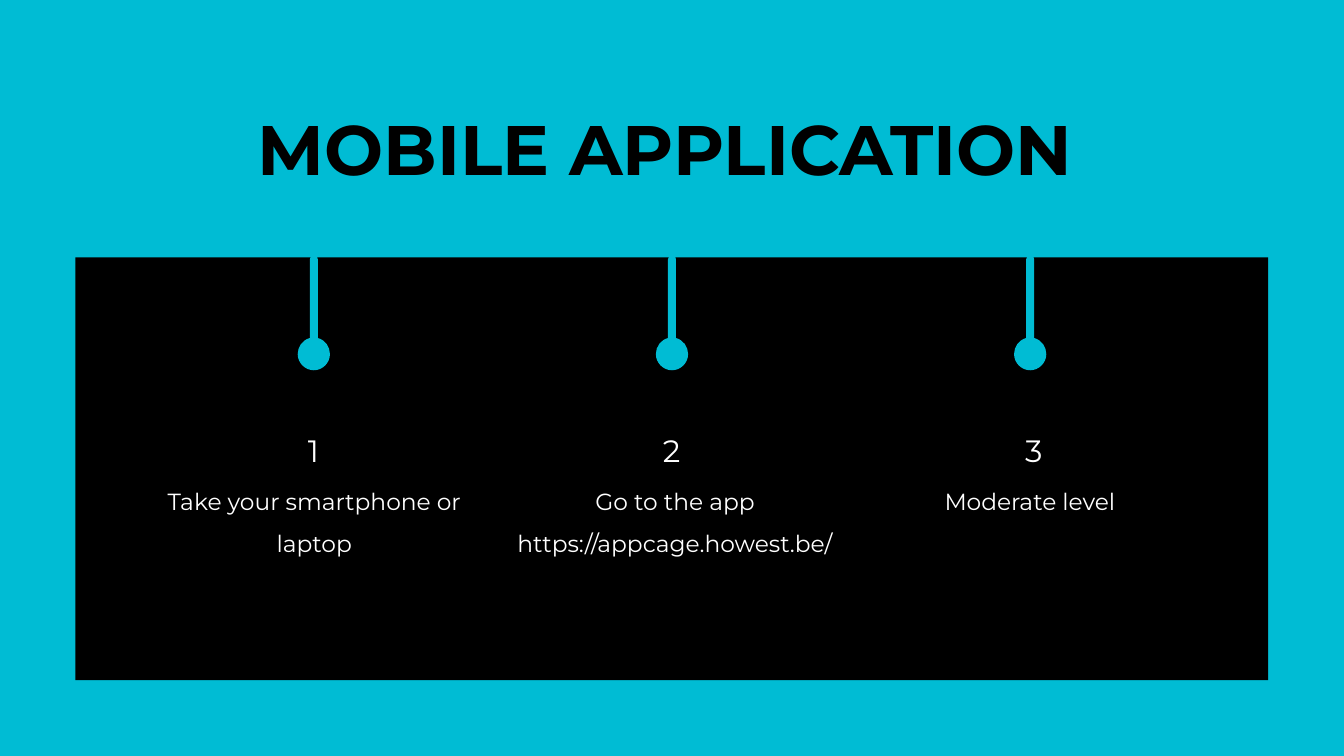
from lxml import etree
from pptx import Presentation
from pptx.dml.color import RGBColor
from pptx.enum.shapes import MSO_SHAPE
from pptx.enum.text import PP_ALIGN
from pptx.oxml.ns import qn
from pptx.util import Inches, Pt

RECT = MSO_SHAPE.RECTANGLE
CENTER = PP_ALIGN.CENTER
CYAN = RGBColor(0x00, 0xBC, 0xD4)
BLACK = RGBColor(0, 0, 0)
WHITE = RGBColor(0xFF, 0xFF, 0xFF)

START = (1.65, 0.18)
PIN = [
    [(0.48, 0.18)],
    [(0.45, 0.07), (0.35, 0), (0.24, 0)],
    [(0.11, 0), (0, 0.11), (0, 0.24)],
    [(0, 0.37), (0.11, 0.48), (0.24, 0.48)],
    [(0.35, 0.48), (0.45, 0.41), (0.48, 0.3)],
    [(1.65, 0.3)],
    [(1.69, 0.3), (1.72, 0.28), (1.72, 0.24)],
    [(1.72, 0.21), (1.69, 0.18), START],
]


class Deck:
    font = "Montserrat"

    def __init__(self, wide, high):
        self.prs = Presentation()
        self.prs.slide_width = Inches(wide)
        self.prs.slide_height = Inches(high)
        self.slide = self.prs.slides.add_slide(self.prs.slide_layouts[6])

    def back(self, color):
        fill = self.slide.background.fill
        fill.solid()
        fill.fore_color.rgb = color

    def paint(self, shape, color):
        shape.shadow.inherit = False
        shape.fill.solid()
        shape.fill.fore_color.rgb = color
        shape.line.fill.background()

    def panel(self, x, y, w, h, color):
        area = map(Inches, (x, y, w, h))
        self.paint(self.slide.shapes.add_shape(RECT, *area), color)

    def pin(self, mid, color):
        draw = self.slide.shapes.build_freeform(*map(Inches, START), scale=1.0)
        ends = [tuple(map(Inches, part[-1])) for part in PIN]
        draw.add_line_segments(ends, close=True)
        shape = draw.convert_to_shape(Inches(mid - 0.86), Inches(4.41))
        lines = list(shape.element.iter(qn("a:lnTo")))
        for line, part in zip(lines, PIN):
            if len(part) == 1:
                continue
            line.tag = qn("a:cubicBezTo")
            for i, (x, y) in enumerate(part[:-1]):
                spot = etree.Element(qn("a:pt"), x=str(Inches(x)), y=str(Inches(y)))
                line.insert(i, spot)
        shape.rotation = 270
        self.paint(shape, color)

    def text(self, words, x, y, w, h, size, color, space, bold=False):
        box = self.slide.shapes.add_textbox(*map(Inches, (x, y, w, h)))
        frame = box.text_frame
        frame.word_wrap = True
        frame.margin_left = frame.margin_right = 0
        frame.margin_top = frame.margin_bottom = 0
        para = frame.paragraphs[0]
        para.text = words
        para.alignment = CENTER
        para.line_spacing = space
        font = para.font
        font.name = self.font
        font.size = Pt(size)
        font.bold = bold
        font.color.rgb = color


def main():
    deck = Deck(20, 11.25)
    deck.back(CYAN)
    deck.text("MOBILE APPLICATION ", 1.33, 1.24, 17.43, 1.3, 75, BLACK, 1.26, True)
    deck.panel(1.12, 3.83, 17.75, 6.29, BLACK)
    steps = [
        ("1", "Take your smartphone or laptop", 2.43, 4.49),
        ("2", "Go to the app https://appcage.howest.be/", 7.51, 5.07),
        (" 3", "Moderate level", 13.08, 4.49),
    ]
    for i, (label, words, left, width) in enumerate(steps):
        mid = 4.67 + 5.33 * i
        deck.pin(mid, CYAN)
        deck.text(label, mid - 2.25, 6.2, 4.49, 0.6, 33, WHITE, 1.4)
        deck.text(words, left, 7.04, width, 2, 25, WHITE, 1.5)
    deck.prs.save("out.pptx")


if __name__ == "__main__":
    main()
